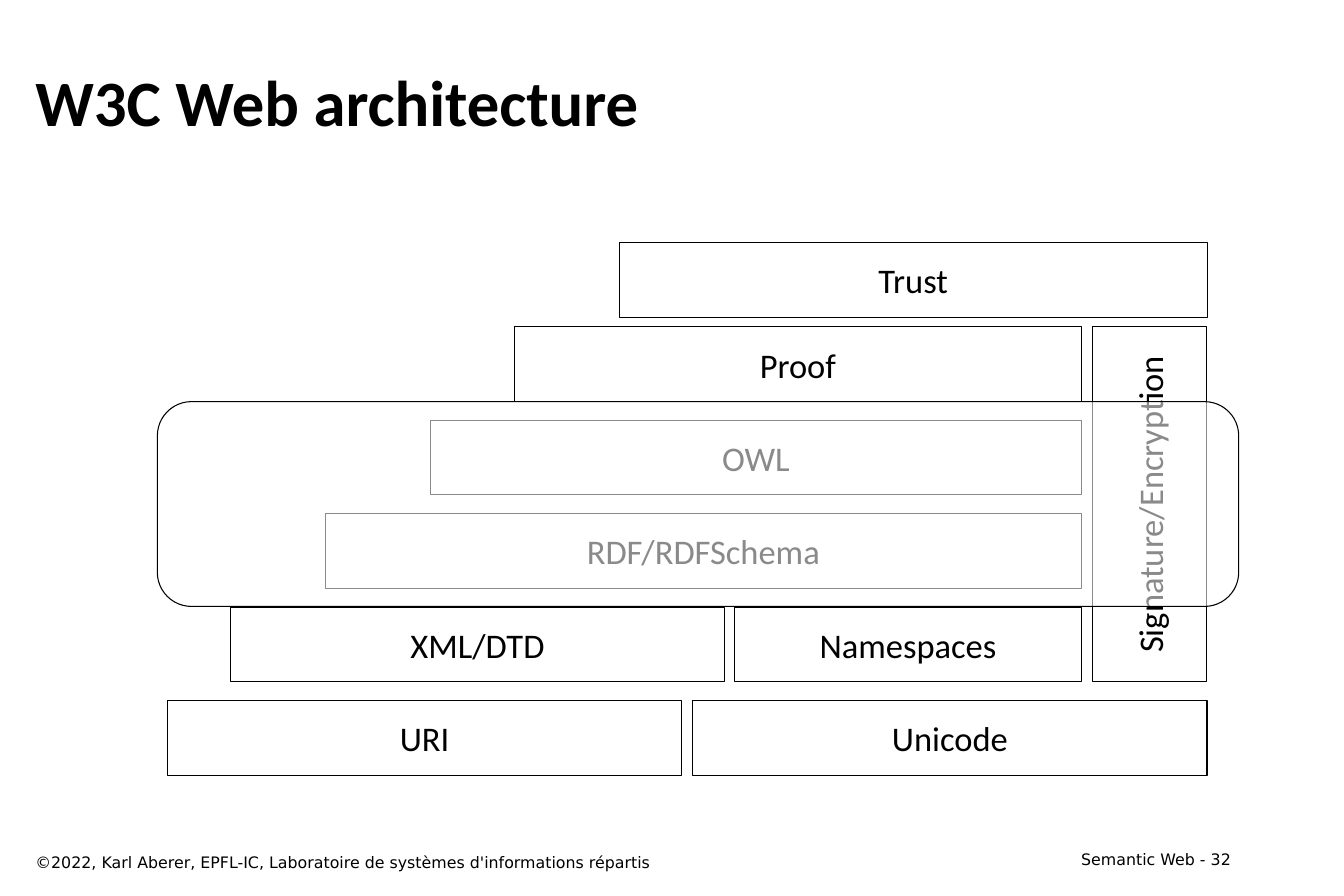
from lxml.etree import SubElement
from pptx import Presentation
from pptx.dml.color import RGBColor
from pptx.enum.shapes import MSO_SHAPE
from pptx.enum.text import MSO_ANCHOR, PP_ALIGN
from pptx.oxml.ns import qn
from pptx.util import Pt

BLACK, WHITE = "000000", "FFFFFF"
ROW_TOP, ROW_PITCH, ROW_HEIGHT = 227.5, 65, 52

# Layers: label, left edge, right edge, top
LAYERS = [
    ("URI", 116.6, 474.5, ROW_TOP + 4 * ROW_PITCH),
    ("Unicode", 482.2, 840, ROW_TOP + 4 * ROW_PITCH),
    ("XML/DTD", 160.6, 504, ROW_TOP + 3 * ROW_PITCH),
    ("Namespaces", 511.2, 752.5, ROW_TOP + 3 * ROW_PITCH),
    ("RDF/RDFSchema", 226.5, 752.5, ROW_TOP + 2 * ROW_PITCH),
    ("OWL", 299.5, 752.5, ROW_TOP + ROW_PITCH),
    ("Proof", 358, 752.5, ROW_TOP),
    ("Trust", 431, 840, 169),
]


def color(value):
    return RGBColor.from_string(value)


def place(sp, left, top, width, height):
    sp.left, sp.top, sp.width, sp.height = Pt(left), Pt(top), Pt(width), Pt(height)


def write(sp, text, size, font, align=PP_ALIGN.LEFT, anchor=MSO_ANCHOR.TOP, bold=False):
    tf = sp.text_frame
    tf.word_wrap = True
    tf.vertical_anchor = anchor
    tf.margin_left = tf.margin_right = Pt(8.6)
    tf.margin_top = tf.margin_bottom = Pt(4.3)
    p = tf.paragraphs[0]
    p.alignment = align
    r = p.add_run()
    r.text = text
    r.font.size, r.font.name, r.font.bold = Pt(size), font, bold
    r.font.color.rgb = color(BLACK)


def add_box(s, kind, left, top, width, height):
    sp = s.shapes.add_shape(kind, Pt(left), Pt(top), Pt(width), Pt(height))
    sp.shadow.inherit = False
    sp.fill.solid()
    sp.fill.fore_color.rgb = color(WHITE)
    sp.line.color.rgb = color(BLACK)
    sp.line.width = Pt(0.75)
    return sp


def add_layer(s, label, left, right, top, height=ROW_HEIGHT):
    sp = add_box(s, MSO_SHAPE.RECTANGLE, left, top, right - left, height)
    write(sp, label, 24, "Calibri", PP_ALIGN.CENTER, MSO_ANCHOR.MIDDLE)
    return sp


def add_veil(s, left, top, width, height, opacity):
    sp = add_box(s, MSO_SHAPE.ROUNDED_RECTANGLE, left, top, width, height)
    fill = sp.element.spPr.find(qn("a:solidFill"))
    SubElement(fill[0], qn("a:alpha"), val=str(opacity * 1000))


def add_footer(s, text, left, top, width, align):
    sp = s.shapes.add_textbox(Pt(left), Pt(top), Pt(width), Pt(21))
    write(sp, text, 11, "DejaVu Sans", align)


def main():
    prs = Presentation()
    prs.slide_width, prs.slide_height = Pt(935.3), Pt(623.5)
    s = prs.slides.add_slide(prs.slide_layouts[5])

    # Title
    place(s.shapes.title, 16, 28, 850, 83.5)
    write(s.shapes.title, "W3C Web architecture", 45, "Calibri",
          anchor=MSO_ANCHOR.MIDDLE, bold=True)

    # Layer stack
    for layer in LAYERS:
        add_layer(s, *layer)

    # Vertical layer beside the stack
    signature = add_layer(s, "Signature/Encryption", 760.3, 839.5, ROW_TOP,
                          3 * ROW_PITCH + ROW_HEIGHT)
    signature.element.txBody.find(qn("a:bodyPr")).set("vert", "vert270")

    # Translucent frame over the semantic layers
    add_veil(s, 109.5, 279.5, 752.5, 142.5, 54)

    # Footer
    add_footer(s, "©2022, Karl Aberer, EPFL-IC, Laboratoire de systèmes d'informations répartis",
               16, 589, 600, PP_ALIGN.LEFT)
    add_footer(s, "Semantic Web - 32", 670.3, 587, 195, PP_ALIGN.RIGHT)

    prs.save("out.pptx")


if __name__ == "__main__":
    main()
